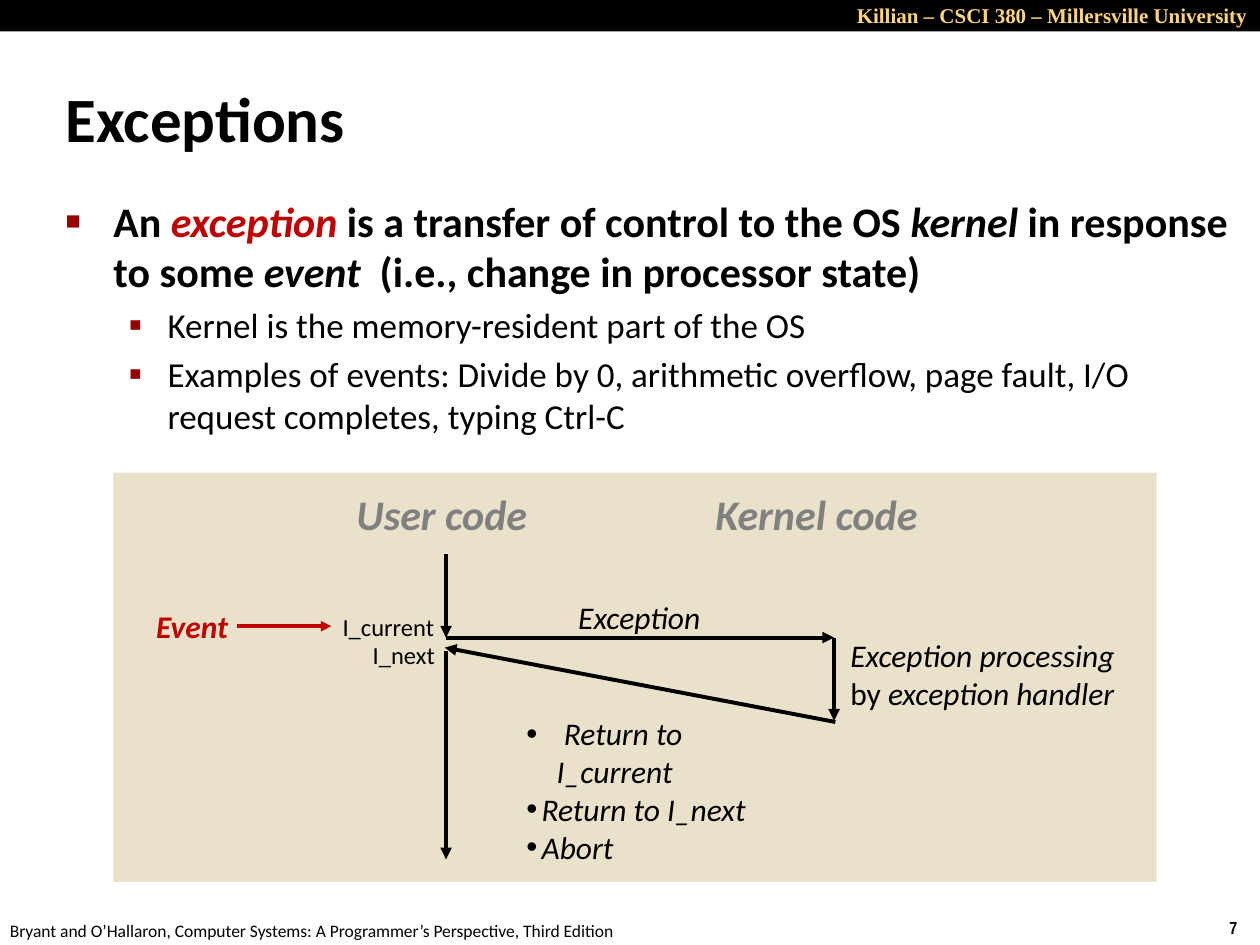
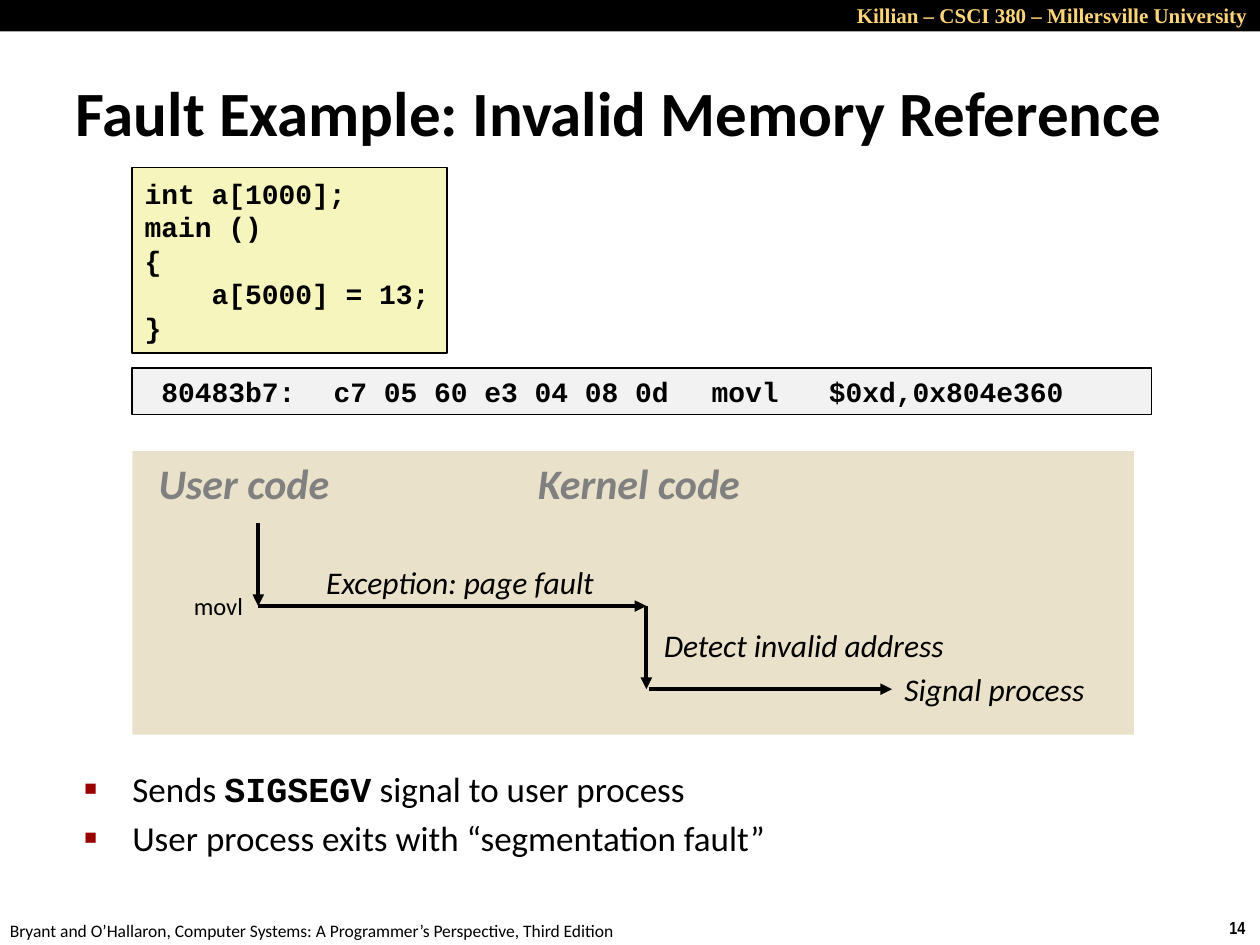
"""Build two lecture slides on exceptions and an invalid memory reference."""
import lxml.etree
import pptx
import pptx.dml.color
import pptx.enum.shapes
import pptx.enum.text
import pptx.oxml.ns
import pptx.util

Inches, Pt = pptx.util.Inches, pptx.util.Pt
RGBColor = pptx.dml.color.RGBColor
AutoSize, Anchor = pptx.enum.text.MSO_AUTO_SIZE, pptx.enum.text.MSO_ANCHOR
Align = pptx.enum.text.PP_ALIGN

BLACK = RGBColor(0, 0, 0)
GOLD = RGBColor(0xFF, 0xD5, 0x79)
RED = RGBColor(0xC0, 0, 0)
BULLET_RED = RGBColor(0x99, 0, 0)
GRAY = RGBColor(0x80, 0x80, 0x80)
TAN = RGBColor(0xE9, 0xE1, 0xC9)
CODE_YELLOW = RGBColor(0xF6, 0xF5, 0xBD)
CODE_GRAY = RGBColor(0xF2, 0xF2, 0xF2)


def style(size, font="Calibri", color=BLACK, bold=False, italic=False):
    """Return the text format as a dict."""
    return dict(size=size, font=font, color=color, bold=bold, italic=italic)


HEADER = style(12, "Times New Roman", GOLD, bold=True)
PAGE_NUMBER = style(10, "Arial Narrow", bold=True)
FOOTER = style(10)
TITLE = style(36, bold=True)
LEAD = style(24, bold=True)
DETAIL = style(20)
HEADING = style(24, color=GRAY, bold=True, italic=True)
LABEL = style(18, italic=True)
EVENT = style(18, color=RED, bold=True, italic=True)
INSTRUCTION = style(14)
CODE = style(16, "Courier New", bold=True)
ITALIC, UPRIGHT = dict(italic=True), dict(italic=False)

BULLETS = {
    "lead": dict(margin=0.38, hang=0.38, character="■", percent=60),
    "detail": dict(margin=0.81, hang=0.31, character="▪", percent=110),
    "wide": dict(margin=0.24, hang=0.24, character="•"),
    "tight": dict(margin=0.12, hang=0.12, character="•"),
}

HEADER_TEXT = "Killian – CSCI 380 – Millersville University"
FOOTER_TEXT = "Bryant and O’Hallaron, Computer Systems: A Programmer’s Perspective, Third Edition"

ARROW_DROP, KERNEL_DISTANCE = 0.66, 3.08

SLIDES = [
    dict(
        number="7",
        title="Exceptions",
        title_box=(0.42, 0.58, 3.67, 0.63),
        title_anchor=Anchor.TOP,
        body_box=(0.42, 1.5, 9.5, 2.08),
        body=[
            ("lead", LEAD, ["An ", ("exception", dict(color=RED, italic=True)),
                            " is a transfer of control to the OS ", ("kernel", ITALIC),
                            " in response to some ", ("event", ITALIC),
                            "  (i.e., change in processor state)"]),
            ("detail", DETAIL, ["Kernel is the memory-resident part of the OS"]),
            ("detail", DETAIL, ["Examples of events: Divide by 0, arithmetic overflow, "
                                "page fault, I/O request completes, typing Ctrl-C"]),
        ],
        code=[],
        panel=(0.9, 3.75, 8.28, 3.25),
        flow_start=(3.54, 4.4),
        headings=[("User code", 2.73, 1.69), ("Kernel code", 5.58, 1.95)],
        arrows=[((6.63, 5.73), (3.53, 5.14), BLACK, 2.25),
                ((3.54, 5.17), (3.54, 6.82), BLACK, 2.25),
                ((1.88, 4.97), (2.63, 4.97), RED, 2)],
        labels=[
            ((4.49, 4.7, 1.25, 0.4), False, [(None, LABEL, ["Exception"])]),
            ((6.65, 5, 2.35, 1.01), True, [
                (None, LABEL, ["Exception processing"]),
                (None, LABEL, [("by ", UPRIGHT), "exception handler"])]),
            ((4.08, 5.62, 2.29, 1.01), True, [
                ("wide", LABEL, [" Return to I_current"]),
                ("tight", LABEL, ["Return to I_next"]),
                ("tight", LABEL, ["Abort"])]),
            ((1.14, 4.77, 0.88, 0.4), True, [(None, EVENT, ["Event"])]),
            ((2.62, 4.81, 0.95, 0.34), False, [(None, INSTRUCTION, ["I_current"])]),
            ((2.86, 5.03, 0.71, 0.34), False, [(None, INSTRUCTION, ["I_next"])]),
        ],
    ),
    dict(
        number="14",
        title="Fault Example: Invalid Memory Reference",
        title_box=(0.5, 0.58, 9.5, 0.61),
        title_anchor=Anchor.MIDDLE,
        body_box=(0.57, 6.04, 7.33, 0.96),
        body=[
            ("lead", DETAIL, ["Sends ", ("SIGSEGV", dict(font="Courier New", bold=True)),
                              " signal to user process"]),
            ("lead", DETAIL, ["User process exits with “segmentation fault”"]),
        ],
        code=[
            ((1.05, 1.33, 2.5, 1.47), CODE_YELLOW,
             ["int a[1000];", "main ()", "{", "    a[5000] = 13;", "}"]),
            ((1.05, 2.92, 8.09, 0.37), CODE_GRAY,
             [" 80483b7:\tc7 05 60 e3 04 08 0d \tmovl   $0xd,0x804e360"]),
        ],
        panel=(1.05, 3.58, 7.95, 2.25),
        flow_start=(2.05, 4.15),
        headings=[("User code", 1.16, 1.65), ("Kernel code", 4.17, 1.91)],
        arrows=[((5.15, 5.47), (7.08, 5.47), BLACK, 2.25)],
        labels=[
            ((2.49, 4.42, 2.42, 0.4), False, [(None, LABEL, ["Exception: page fault"])]),
            ((5.17, 4.92, 2.5, 0.4), True, [(None, LABEL, ["Detect invalid address"])]),
            ((1.44, 4.64, 0.6, 0.34), False, [(None, INSTRUCTION, ["movl"])]),
            ((7.08, 5.27, 1.75, 0.4), True, [(None, LABEL, ["Signal process"])]),
        ],
    ),
]


def add_element(parent, tag, **attributes):
    """Append a DrawingML element to the parent."""
    return lxml.etree.SubElement(parent, pptx.oxml.ns.qn("a:" + tag), attributes)


def set_indent(paragraph, margin, hang):
    """Give the paragraph a hanging indent in inches."""
    properties = paragraph._p.get_or_add_pPr()
    properties.set("marL", str(Inches(margin)))
    properties.set("indent", str(-Inches(hang)))
    return properties


def set_bullet(paragraph, margin, hang, character, percent=None):
    """Give the paragraph a bullet, red when its size is scaled."""
    properties = set_indent(paragraph, margin, hang)
    if percent:
        add_element(add_element(properties, "buClr"), "srgbClr", val=str(BULLET_RED))
        add_element(properties, "buSzPct", val=str(percent * 1000))
    add_element(properties, "buFont", typeface="Arial")
    add_element(properties, "buChar", char=character)


def write_text(frame, paragraphs, align=Align.LEFT):
    """Write (bullet, format, runs) paragraphs into a text frame."""
    for index, (bullet, base, runs) in enumerate(paragraphs):
        paragraph = frame.add_paragraph() if index else frame.paragraphs[0]
        paragraph.alignment = align
        if bullet == "detail":
            paragraph.level = 1
        if bullet:
            set_bullet(paragraph, **BULLETS[bullet])
        for item in runs:
            text, changes = (item, {}) if isinstance(item, str) else item
            look = {**base, **changes}
            run = paragraph.add_run()
            run.text = text
            run.font.name = look["font"]
            run.font.size = Pt(look["size"])
            run.font.bold = look["bold"]
            run.font.italic = look["italic"]
            run.font.color.rgb = look["color"]


def add_text(slide, box, paragraphs, wrap=False, align=Align.LEFT):
    """Add a text box that grows with its text."""
    frame = slide.shapes.add_textbox(*map(Inches, box)).text_frame
    frame.word_wrap = wrap
    frame.auto_size = AutoSize.SHAPE_TO_FIT_TEXT
    write_text(frame, paragraphs, align)


def add_rectangle(slide, box, fill, outlined=False):
    """Add a flat rectangle."""
    shape = slide.shapes.add_shape(
        pptx.enum.shapes.MSO_SHAPE.RECTANGLE, *map(Inches, box))
    shape.shadow.inherit = False
    shape.fill.solid()
    shape.fill.fore_color.rgb = fill
    if outlined:
        shape.line.color.rgb = BLACK
        shape.line.width = Pt(1)
    else:
        shape.line.fill.background()
    return shape


def add_arrow(slide, start, end, color=BLACK, width=2.25):
    """Add a straight arrow."""
    arrow = slide.shapes.add_connector(
        pptx.enum.shapes.MSO_CONNECTOR.STRAIGHT, *map(Inches, start + end))
    arrow.line.color.rgb = color
    arrow.line.width = Pt(width)
    add_element(arrow.line._get_or_add_ln(), "tailEnd", type="triangle")
    add_element(arrow._element.spPr, "effectLst")


def fill_placeholder(placeholder, box, paragraphs, anchor=Anchor.TOP):
    """Move a placeholder and write its text."""
    placeholder.left, placeholder.top, placeholder.width, placeholder.height = map(Inches, box)
    frame = placeholder.text_frame
    frame.auto_size = AutoSize.NONE
    frame.word_wrap = True
    frame.vertical_anchor = anchor
    write_text(frame, paragraphs)


def add_frame(slide, number):
    """Add the header band, page number and footer."""
    add_rectangle(slide, (0, 0, 10, 0.25), BLACK)
    add_text(slide, (5.83, -0.03, 4.17, 0.3), [(None, HEADER, [HEADER_TEXT])], True, Align.RIGHT)
    add_text(slide, (9.66, 7.23, 0.34, 0.27), [(None, PAGE_NUMBER, [number])])
    add_text(slide, (-0.02, 7.25, 5.08, 0.27), [(None, FOOTER, [FOOTER_TEXT])])


def add_code(slide, box, fill, lines):
    """Add an outlined code listing."""
    frame = add_rectangle(slide, box, fill, outlined=True).text_frame
    frame.word_wrap = False
    frame.vertical_anchor = Anchor.MIDDLE
    write_text(frame, [(None, CODE, [line]) for line in lines])


def add_flow(slide, content):
    """Draw the control flow between user code and kernel code."""
    add_rectangle(slide, content["panel"], TAN)
    user_x, top = content["flow_start"]
    kernel_x, trap_y = user_x + KERNEL_DISTANCE, top + ARROW_DROP
    for text, left, width in content["headings"]:
        add_text(slide, (left, top - 0.57, width, 0.5), [(None, HEADING, [text])])
    stops = [(user_x, top), (user_x, trap_y), (kernel_x, trap_y), (kernel_x, trap_y + ARROW_DROP)]
    for start, end in zip(stops, stops[1:]):
        add_arrow(slide, start, end)
    for arrow in content["arrows"]:
        add_arrow(slide, *arrow)
    for box, wrap, paragraphs in content["labels"]:
        add_text(slide, box, paragraphs, wrap)


def build_slide(presentation, content):
    """Add one slide."""
    slide = presentation.slides.add_slide(presentation.slide_layouts[1])
    add_frame(slide, content["number"])
    title = slide.shapes.title
    fill_placeholder(title, content["title_box"], [(None, TITLE, [content["title"]])],
                     content["title_anchor"])
    set_indent(title.text_frame.paragraphs[0], 0.13, 0.13)
    fill_placeholder(slide.placeholders[1], content["body_box"], content["body"])
    for listing in content["code"]:
        add_code(slide, *listing)
    add_flow(slide, content)


def main():
    """Build and save the presentation."""
    presentation = pptx.Presentation()
    presentation.slide_width, presentation.slide_height = Inches(10), Inches(7.5)
    for content in SLIDES:
        build_slide(presentation, content)
    presentation.save("out.pptx")


if __name__ == "__main__":
    main()
